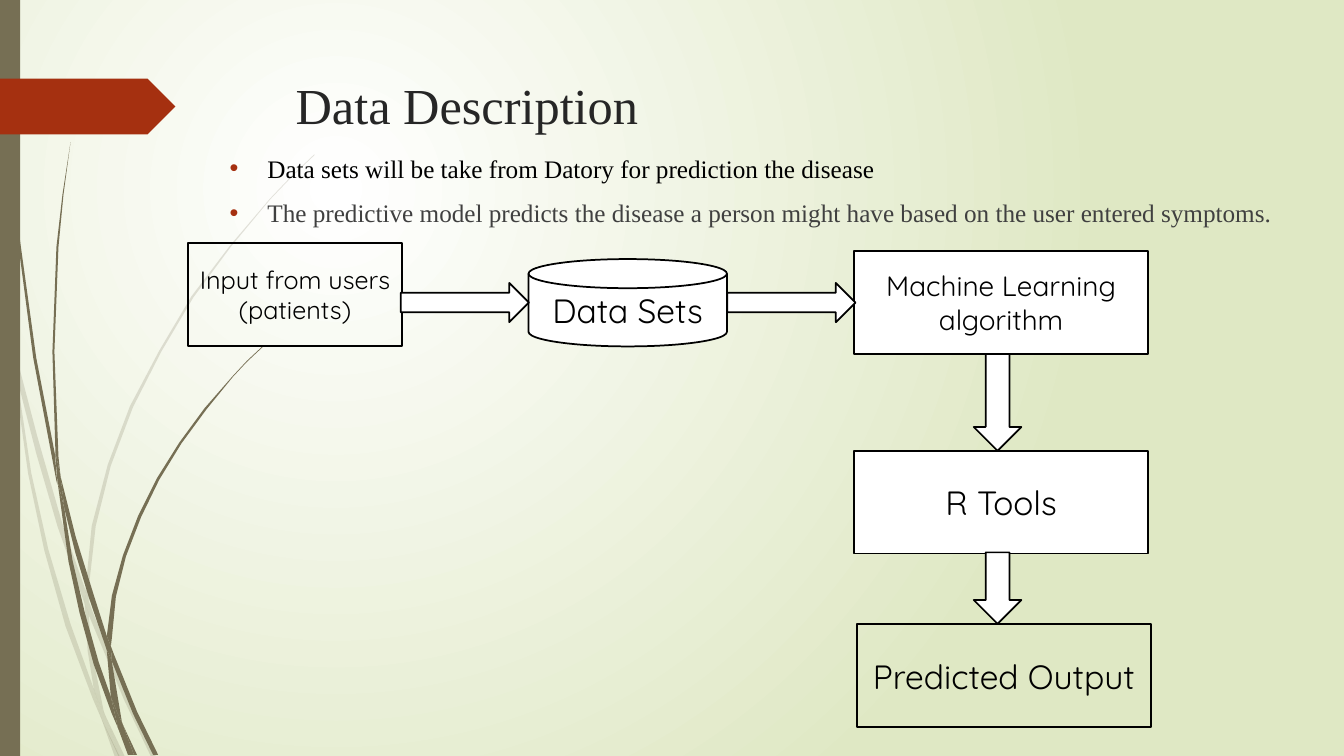
from lxml import etree
from pptx import Presentation
from pptx import util as u
from pptx.dml.color import RGBColor
from pptx.enum import shapes, text
from pptx.oxml.ns import qn

WHITE = RGBColor(0xFF, 0xFF, 0xFF)
BLACK = RGBColor(0, 0, 0)
LIME = RGBColor(0xDF, 0xE8, 0xC4)
OLIVE = RGBColor(0x76, 0x6F, 0x54)
RUST = RGBColor(0xA5, 0x30, 0x10)
DARK = RGBColor(0x26, 0x26, 0x26)
GREY = RGBColor(0x40, 0x40, 0x40)
SERIF, SANS = "Times New Roman", "Quicksand"
KIND = shapes.MSO_SHAPE
INCH = 2.54  # blade points are in inches

# Outlines of the grass blades, pale ones behind
PALE = [
    [(0.11, 3.5), (0.09, 3.22), (0, 2.82), (0, 2.99), (0.1, 3.44)],
    [(0.57, 5.22), (0.84, 5.99), (0.85, 5.86), (0.62, 5.2), (0.37, 4.33),
     (0.14, 3.45), (0.17, 3.76), (0.36, 4.5)],
    [(0.92, 6.07), (0.88, 5.96), (0.88, 6.1), (1.23, 6.94), (1.5, 7.51),
     (1.55, 7.51), (1.27, 6.92)],
    [(1.19, 7.51), (1.24, 7.51), (1.05, 7.11)],
    [(0.93, 6.83), (0.7, 6.19), (0.48, 5.45), (0.31, 4.69), (0.17, 3.76),
     (0.11, 3.5), (0.28, 4.7), (0.44, 5.46), (0.65, 6.21), (0.92, 6.93),
     (1.01, 7.14), (0.99, 7.07)],
    [(0.84, 5.99), (0.87, 6.46), (0.93, 6.83), (0.96, 6.92), (1.05, 7.11),
     (1.03, 7.06), (0.91, 6.46), (0.88, 6.1), (0.88, 6.08)],
    [(0.88, 5.84), (0.95, 5.22), (1.1, 4.62), (1.32, 4.04), (1.6, 3.49),
     (1.92, 2.95), (2.29, 2.45), (2.68, 1.98), (2.9, 1.75), (3.12, 1.54),
     (3.12, 1.53), (2.89, 1.75), (2.68, 1.97), (2.28, 2.44), (1.9, 2.94),
     (1.58, 3.48), (1.29, 4.03), (1.07, 4.61), (0.91, 5.22), (0.85, 5.84),
     (0.85, 5.86), (0.88, 5.96)],
    [(1.01, 7.14), (1.14, 7.51), (1.19, 7.51)],
    [(0.88, 6.08), (0.88, 6.1), (0.88, 5.96), (0.85, 5.86), (0.84, 5.99)],
    [(0.96, 6.92), (0.93, 6.83), (0.99, 7.07), (1.01, 7.14), (1.18, 7.51),
     (1.19, 7.51), (1.05, 7.11)],
]
DEEP = [
    [(0.07, 1.1), (0.17, 2.33), (0.33, 3.55), (0.56, 4.77), (0.57, 4.81),
     (0.55, 4.57), (0.55, 4.53), (0.36, 3.55), (0.19, 2.32), (0.08, 1.09),
     (0.05, 0.48), (0.04, 0), (0.03, 0), (0.04, 0.48)],
    [(0.88, 5.92), (1.06, 6.45), (1.06, 6.33), (1.06, 6.31), (0.93, 5.9),
     (0.75, 5.32), (0.6, 4.72), (0.64, 5.05), (0.75, 5.49)],
    [(1.13, 6.49), (1.1, 6.41), (1.11, 6.56), (1.32, 7.08), (1.52, 7.49),
     (1.57, 7.49), (1.36, 7.06)],
    [(1.1, 6.91), (0.98, 6.57), (0.84, 6.07), (0.72, 5.56), (0.64, 5.05),
     (0.57, 4.77), (0.68, 5.57), (0.79, 6.08), (0.93, 6.59), (1.11, 7.08),
     (1.17, 7.22), (1.16, 7.17)],
    [(0.6, 4.72), (0.58, 4.53), (0.54, 3.49), (0.58, 2.45), (0.63, 1.93),
     (0.7, 1.41), (0.62, 1.93), (0.56, 2.45), (0.52, 3.49), (0.55, 4.49)],
    [(1.33, 7.49), (1.36, 7.49), (1.22, 7.19)],
    [(0.57, 4.77), (0.64, 5.05), (0.6, 4.72), (0.55, 4.49), (0.55, 4.53)],
    [(1.11, 6.33), (1.15, 5.92), (1.25, 5.52), (1.4, 5.13), (1.58, 4.76),
     (1.8, 4.4), (2.05, 4.06), (2.31, 3.74), (2.45, 3.59), (2.61, 3.44),
     (2.6, 3.44), (2.45, 3.58), (2.31, 3.73), (2.03, 4.05), (1.78, 4.39),
     (1.56, 4.74), (1.37, 5.12), (1.22, 5.51), (1.11, 5.91), (1.06, 6.31),
     (1.1, 6.41)],
    [(1.17, 7.22), (1.27, 7.49), (1.31, 7.49)],
    [(1.06, 6.45), (1.1, 6.91), (1.16, 7.06), (1.22, 7.19), (1.21, 7.16),
     (1.11, 6.56), (1.09, 6.51)],
    [(1.06, 6.45), (1.09, 6.51), (1.11, 6.56), (1.1, 6.41), (1.06, 6.31)],
    [(1.16, 7.06), (1.1, 6.91), (1.16, 7.17), (1.17, 7.22), (1.3, 7.49),
     (1.33, 7.49), (1.22, 7.19)],
]


def paint(shape, fill, line=None):
    shape.shadow.inherit = False
    if fill is None:
        shape.fill.background()
    else:
        shape.fill.solid()
        shape.fill.fore_color.rgb = fill
    if line is None:
        shape.line.fill.background()
    else:
        shape.line.color.rgb = line
        shape.line.width = u.Pt(1.25)


def blade(slide, pts, alpha=None):
    pts = [(u.Cm(x * INCH), u.Cm(y * INCH)) for x, y in pts]
    pen = slide.shapes.build_freeform(*pts[0], scale=1.0)
    pen.add_line_segments(pts[1:], close=True)
    shape = pen.convert_to_shape()
    paint(shape, OLIVE)
    if alpha:
        tint = shape.element.spPr.find(".//" + qn("a:srgbClr"))
        etree.SubElement(tint, qn("a:alpha"), val=str(alpha * 1000))


def write(para, words, size, font, color):
    run = para.add_run()
    run.text = words
    run.font.size = u.Pt(size)
    run.font.name = font
    run.font.color.rgb = color


def block(slide, kind, box, fill, line=None, lines=(), size=24):
    shape = slide.shapes.add_shape(kind, *map(u.Cm, box))
    paint(shape, fill, line)
    frame = shape.text_frame
    frame.word_wrap = True
    frame.vertical_anchor = text.MSO_ANCHOR.MIDDLE
    for i, words in enumerate(lines):
        para = frame.add_paragraph() if i else frame.paragraphs[0]
        para.alignment = text.PP_ALIGN.CENTER
        write(para, words, size, SANS, BLACK)


def label(slide, box):
    frame = slide.shapes.add_textbox(*map(u.Cm, box)).text_frame
    frame.word_wrap = True
    return frame


def bullet(para):
    props = para._p.get_or_add_pPr()
    props.set("marL", str(u.Cm(0.95)))
    props.set("indent", str(-u.Cm(0.95)))
    tint = etree.SubElement(props, qn("a:buClr"))
    etree.SubElement(tint, qn("a:srgbClr"), val=str(RUST))
    etree.SubElement(props, qn("a:buFont"), typeface="Arial")
    etree.SubElement(props, qn("a:buChar"), char="•")


def backdrop(slide):
    fill = slide.background.fill
    fill.gradient()
    for stop, color in zip(fill.gradient_stops, (WHITE, LIME)):
        stop.color.rgb = color
    grad = slide.element.find(".//" + qn("a:gradFill"))
    line = grad.find(qn("a:lin"))
    ring = etree.Element(qn("a:path"), {"path": "circle"})
    etree.SubElement(ring, qn("a:fillToRect"),
                     l="50000", t="50000", r="100000", b="100000")
    grad.replace(line, ring)


def main():
    deck = Presentation()
    deck.slide_width, deck.slide_height = u.Cm(33.87), u.Cm(19.05)
    slide = deck.slides.add_slide(deck.slide_layouts[6])

    # Background, grass, side bar and tag
    backdrop(slide)
    for pts in PALE:
        blade(slide, pts, alpha=20)
    for pts in DEEP:
        blade(slide, pts)
    block(slide, KIND.RECTANGLE, (0, 0, 0.51, 19.05), OLIVE)
    block(slide, KIND.PENTAGON, (0, 1.98, 4.42, 1.41), RUST)

    # Title and bullets
    title = label(slide, (7.2, 1.75, 24.74, 3.56))
    write(title.paragraphs[0], "Data Description", 36, SERIF, DARK)
    body = label(slide, (5.54, 3.73, 28.32, 14.2))
    first, second = body.paragraphs[0], body.add_paragraph()
    bullet(first)
    write(first, "Data sets will be take from Datory for prediction the disease",
          18, SERIF, BLACK)
    bullet(second)
    second.space_before = u.Pt(10)
    write(second, "The predictive model predicts the disease a person might have "
          "based on the user entered symptoms.", 18, SERIF, GREY)

    # Flow steps
    for kind, box, fill, lines, size in (
        (KIND.RECTANGLE, (4.73, 6.13, 5.41, 2.59), None,
         ["Input from users", "(patients)"], 18),
        (KIND.FLOWCHART_MAGNETIC_DISK, (13.32, 6.53, 5, 2.2), WHITE, ["Data Sets"], 24),
        (KIND.RECTANGLE, (21.53, 6.33, 7.4, 2.59), WHITE,
         ["Machine Learning algorithm"], 20),
        (KIND.RECTANGLE, (21.53, 11.36, 7.4, 2.59), WHITE, ["R Tools"], 24),
        (KIND.RECTANGLE, (21.6, 15.73, 7.4, 2.59), None, ["Predicted Output"], 24),
    ):
        block(slide, kind, box, fill, BLACK, lines, size)

    # Block arrows between the steps
    for x in (10.1, 18.33):
        block(slide, KIND.RIGHT_ARROW, (x, 7.13, 3.23, 0.99), WHITE, BLACK)
    for y, high in ((8.92, 2.44), (13.92, 1.8)):
        block(slide, KIND.DOWN_ARROW, (24.54, y, 1.2, high), WHITE, BLACK)

    deck.save("out.pptx")


if __name__ == "__main__":
    main()
